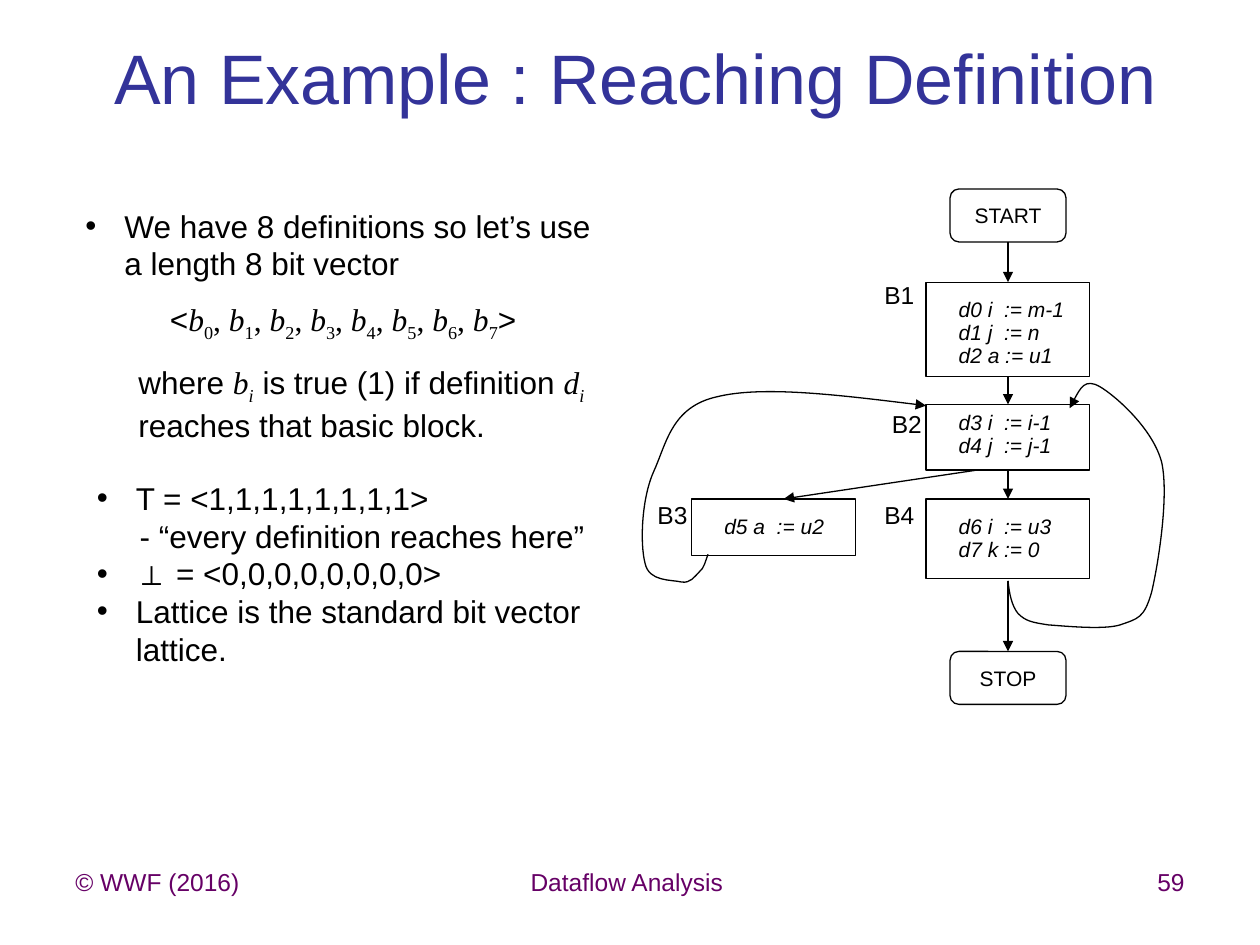
from lxml.etree import SubElement
from pptx import Presentation
from pptx.dml.color import RGBColor
from pptx.enum.shapes import MSO_CONNECTOR, MSO_SHAPE
from pptx.enum.text import MSO_ANCHOR, PP_ALIGN
from pptx.oxml.ns import qn
from pptx.util import Pt

PX = 9144
COLORS = {"title": "333399", "footer": "660066", "ink": "000000", "paper": "FFFFFF"}
STYLES = {
    "bold": ("Arial", False, True, 0),
    "serif": ("Times New Roman", False, False, 0),
    "var": ("Times New Roman", True, False, 0),
    "sub": ("Times New Roman", False, False, -25000),
    "varsub": ("Times New Roman", True, False, -25000),
}
LEFT, CENTER, RIGHT = PP_ALIGN.LEFT, PP_ALIGN.CENTER, PP_ALIGN.RIGHT

deck = Presentation()
deck.slide_width, deck.slide_height = 1000 * PX, 750 * PX
page = deck.slides.add_slide(deck.slide_layouts[6])


def write(shape, lines, size, color="ink", align=LEFT, anchor=MSO_ANCHOR.TOP, wrap=True):
    frame = shape.text_frame
    frame.word_wrap, frame.vertical_anchor = wrap, anchor
    for number, spans in enumerate(lines):
        para = frame.add_paragraph() if number else frame.paragraphs[0]
        para.alignment = align
        para.font.name, para.font.size = "Arial", Pt(size)
        para.font.color.rgb = RGBColor.from_string(COLORS[color])
        for text, style in [(spans, None)] if isinstance(spans, str) else spans:
            span = para.add_run()
            span.text = text
            if style:
                span.font.name, span.font.italic, span.font.bold, baseline = STYLES[style]
                span.font._element.set("baseline", str(baseline))
    return frame.paragraphs


def outline(shape, arrow=False):
    shape.line.color.rgb = RGBColor.from_string(COLORS["ink"])
    shape.line.width = Pt(0.75)
    properties = shape._element.spPr
    if arrow:
        SubElement(properties.find(qn("a:ln")), qn("a:tailEnd"), type="triangle")
    SubElement(properties, qn("a:effectLst"))


title = page.shapes.add_textbox(33 * PX, 34 * PX, 942 * PX, 53 * PX)
write(title, ["An Example : Reaching Definition"], 40, "title", CENTER, MSO_ANCHOR.MIDDLE)

for left, width, text, align in [
    (50, 233, "© WWF (2016)", LEFT),
    (339, 317, "Dataflow Analysis", CENTER),
    (717, 233, "59", RIGHT),
]:
    footer = page.shapes.add_textbox(left * PX, 683 * PX, width * PX, 52 * PX)
    write(footer, [text], 14, "footer", align)

vector = [("<", None)]
for index in range(8):
    vector += [("b", "var"), (str(index), "sub"), (", ", "serif")]
vector[-1] = (">", None)
where = [
    ("where ", None), ("b", "var"), ("i", "varsub"),
    (" is true (1) if definition ", None), ("d", "var"), ("i", "varsub"),
    (" reaches that basic block.", None),
]
lattice = [
    "T = <1,1,1,1,1,1,1,1>",
    "- “every definition reaches here”",
    [("⊥ ", "bold"), ("= <0,0,0,0,0,0,0,0>", None)],
    "Lattice is the standard bit vector lattice.",
]
for left, top, width, height, lines, bulleted in [
    (58, 159, 433, 101, ["We have 8 definitions so let’s use a length 8 bit vector"], [0]),
    (125, 233, 383, 40, [vector], []),
    (100, 283, 375, 71, [where], []),
    (67, 375, 425, 162, lattice, [0, 2, 3]),
]:
    box = page.shapes.add_textbox(left * PX, top * PX, width * PX, height * PX)
    for number, para in enumerate(write(box, lines, 18)):
        layout = para._p.get_or_add_pPr()
        if number in bulleted:
            layout.set("marL", str(31 * PX))
            layout.set("indent", str(-31 * PX))
            for tag, value in [("a:buFont", {"typeface": "Arial"}), ("a:buChar", {"char": "•"})]:
                layout.find(qn("a:defRPr")).addprevious(layout.makeelement(qn(tag), value))
        elif number:
            layout.set("marL", str(34 * PX))

for left, top, height, code_top, code in [
    (735, 224, 75, 239, ["d0 i  := m-1", "d1 j  := n", "d2 a := u1"]),
    (735, 321, 52, 329, ["d3 i  := i-1", "d4 j  := j-1"]),
    (735, 396, 63, 411, ["d6 i  := u3", "d7 k := 0"]),
    (549, 396, 45, 411, ["d5 a  := u2"]),
]:
    block = page.shapes.add_shape(MSO_SHAPE.RECTANGLE, left * PX, top * PX, 130 * PX, height * PX)
    block.fill.background()
    outline(block)
    box = page.shapes.add_textbox((left + 16) * PX, code_top * PX, 105 * PX, 20 * len(code) * PX)
    for para in write(box, code, 12):
        para.font.italic = True
        para.line_spacing, para.space_before = 0.5, Pt(6)

for left, top, name in [(692, 217, "B1"), (698, 320, "B2"), (512, 392, "B3"), (692, 392, "B4")]:
    label = page.shapes.add_textbox(left * PX, top * PX, 44 * PX, 34 * PX)
    write(label, [name], 14, wrap=False)

for top, name in [(150, "START"), (517, "STOP")]:
    terminal = page.shapes.add_shape(MSO_SHAPE.ROUNDED_RECTANGLE, 754 * PX, top * PX, 92 * PX, 42 * PX)
    terminal.fill.solid()
    terminal.fill.fore_color.rgb = RGBColor.from_string(COLORS["paper"])
    outline(terminal)
    write(terminal, [name], 12, align=CENTER, anchor=MSO_ANCHOR.MIDDLE)

for ends in [
    (800, 192, 800, 224),
    (800, 299, 800, 321),
    (800, 373, 800, 396),
    (776, 373, 622, 396),
    (800, 461, 800, 517),
]:
    flow = page.shapes.add_connector(MSO_CONNECTOR.STRAIGHT, *[end * PX for end in ends])
    outline(flow, arrow=True)

for start, *knots in [
    [
        (562, 440), (560, 445), (559, 451), (555, 454), (551, 458), (548, 463), (541, 462),
        (533, 460), (515, 462), (512, 447), (508, 432), (509, 396), (519, 374),
        (529, 352), (533, 323), (569, 315), (605, 306), (670, 314), (735, 322),
    ],
    [
        (800, 461), (801, 471), (803, 481), (808, 487), (814, 493), (819, 494), (832, 496),
        (846, 497), (876, 500), (889, 496), (903, 491), (908, 491), (914, 470),
        (919, 449), (928, 394), (922, 367), (915, 340), (885, 314), (873, 307),
        (861, 300), (855, 312), (849, 324),
    ],
]:
    builder = page.shapes.build_freeform(*start, scale=PX)
    builder.add_line_segments(knots, close=False)
    back_edge = builder.convert_to_shape()
    segments = list(back_edge._element.iter(qn("a:lnTo")))
    for first in range(0, len(segments), 3):
        curve = SubElement(segments[first].getparent(), qn("a:cubicBezTo"))
        for segment in segments[first:first + 3]:
            curve.append(segment[0])
            segment.getparent().remove(segment)
    back_edge.fill.background()
    outline(back_edge, arrow=True)

deck.save("out.pptx")
